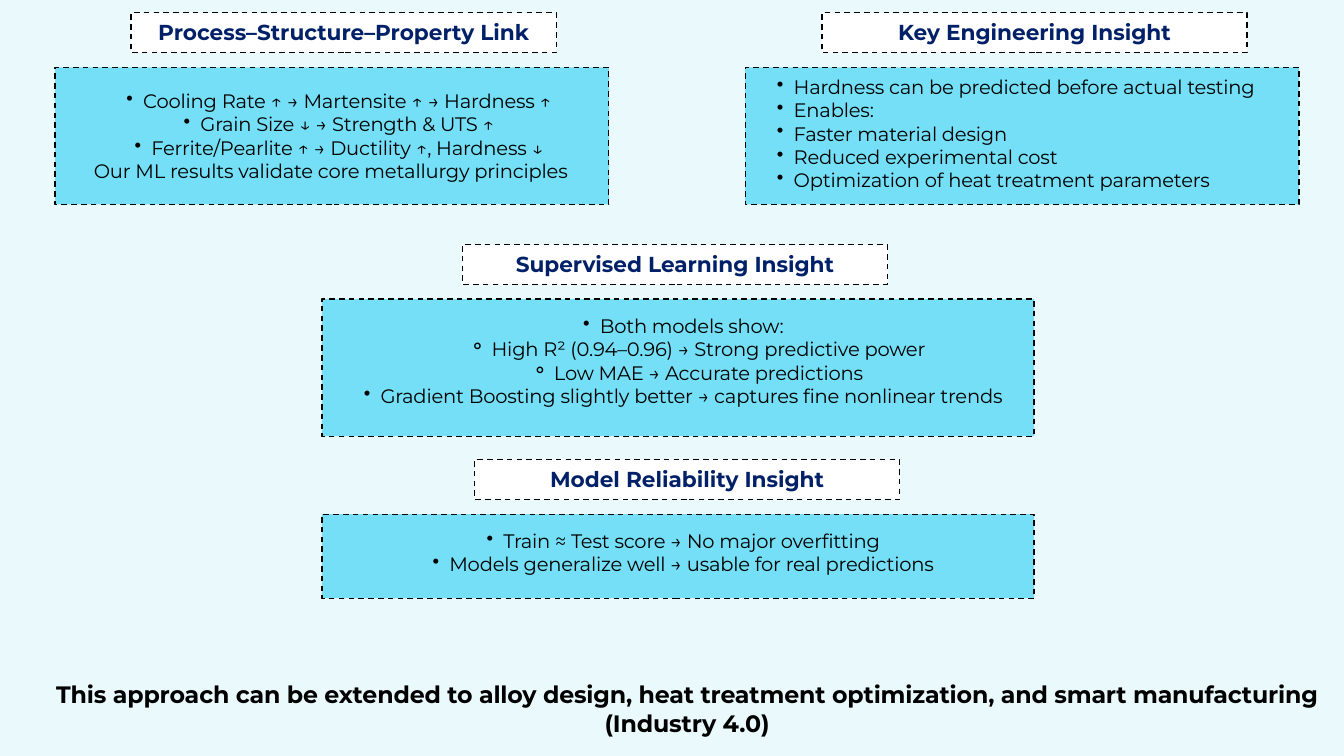
from lxml.etree import SubElement
from pptx import Presentation
from pptx.dml.color import RGBColor
from pptx.enum.dml import MSO_LINE
from pptx.enum.shapes import MSO_SHAPE
from pptx.enum.text import PP_ALIGN
from pptx.oxml.ns import qn
from pptx.util import Inches, Pt

CELL = 0.25
COLUMNS, ROWS = 80, 45
FONT = "Montserrat"
BACKGROUND, WHITE, BLUE, NAVY, BLACK = "EAF9FB", "FFFFFF", "74DFF6", "002068", "000000"
HEADING_WIDTH, HEADING_HEIGHT = 25.32, 2.36
PANEL_DROP = 3.25
LINE_ROWS = 1.375
BULLETS = {1: ("•", 0.49, -0.25), 2: ("⚬", 0.99, -0.33)}

SECTIONS = [
    {
        "heading": "Process–Structure–Property Link",
        "heading_at": (7.8, 0.76),
        "panel": (3.28, 32.96, 8.16),
        "inset": (0.84, 1.28, 31.16),
        "align": PP_ALIGN.CENTER,
        "lines": [
            (1, "Cooling Rate ↑ → Martensite ↑ → Hardness ↑"),
            (1, "Grain Size ↓ → Strength & UTS ↑"),
            (1, "Ferrite/Pearlite ↑ → Ductility ↑, Hardness ↓"),
            (0, "Our ML results validate core metallurgy principles"),
        ],
    },
    {
        "heading": "Key Engineering Insight",
        "heading_at": (48.92, 0.76),
        "panel": (44.36, 32.96, 8.16),
        "inset": (0.92, 0.44, 31.16),
        "align": PP_ALIGN.JUSTIFY,
        "lines": [
            (1, "Hardness can be predicted before actual testing"),
            (1, "Enables:"),
            (1, "Faster material design"),
            (1, "Reduced experimental cost"),
            (1, "Optimization of heat treatment parameters"),
        ],
    },
    {
        "heading": "Supervised Learning Insight",
        "heading_at": (27.52, 14.56),
        "panel": (19.16, 42.4, 8.16),
        "inset": (0.48, 0.88, 41.12),
        "align": PP_ALIGN.CENTER,
        "lines": [
            (1, "Both models show:"),
            (2, "High R² (0.94–0.96) → Strong predictive power"),
            (2, "Low MAE → Accurate predictions"),
            (1, "Gradient Boosting slightly better → captures fine nonlinear trends"),
        ],
    },
    {
        "heading": "Model Reliability Insight",
        "heading_at": (28.24, 27.36),
        "panel": (19.16, 42.4, 5),
        "inset": (0.48, 0.88, 41.12),
        "align": PP_ALIGN.CENTER,
        "lines": [
            (1, "Train ≈ Test score → No major overfitting"),
            (1, "Models generalize well → usable for real predictions"),
        ],
    },
]


def color(value):
    """Turn a hex string into a colour."""
    return RGBColor.from_string(value)


def place(box):
    """Convert a box in grid columns and rows to lengths."""
    return [Inches(length * CELL) for length in box]


def add_frame(slide, box, fill):
    """Draw a filled rectangle with a dashed outline."""
    shape = slide.shapes.add_shape(MSO_SHAPE.RECTANGLE, *place(box))
    shape.shadow.inherit = False
    shape.fill.solid()
    shape.fill.fore_color.rgb = color(fill)
    shape.line.color.rgb = color(BLACK)
    shape.line.width = Pt(1.5)
    shape.line.dash_style = MSO_LINE.DASH


def add_bullet(paragraph, level):
    """Give a paragraph the bullet and indent of its level."""
    character, margin, indent = BULLETS[level]
    paragraph.level = level
    properties = paragraph._p.get_or_add_pPr()
    properties.set("marL", str(Inches(margin)))
    properties.set("indent", str(Inches(indent)))
    SubElement(properties, qn("a:buChar")).set("char", character)


def add_text(slide, box, lines, size, leading, align=PP_ALIGN.CENTER,
             ink=BLACK, bold=False, spacing=0):
    """Write lines of (level, text) in a text box without margins."""
    frame = slide.shapes.add_textbox(*place(box)).text_frame
    frame.word_wrap = True
    frame.margin_left = frame.margin_right = frame.margin_top = frame.margin_bottom = 0
    frame.text = "\n".join(text for _, text in lines)
    for paragraph, (level, _) in zip(frame.paragraphs, lines):
        if level:
            add_bullet(paragraph, level)
        paragraph.alignment = align
        paragraph.line_spacing = Pt(leading)
        for run in paragraph.runs:
            run.font.name = FONT
            run.font.size = Pt(size)
            run.font.bold = bold
            run.font.color.rgb = color(ink)
            if spacing:
                run._r.get_or_add_rPr().set("spc", str(spacing))


def add_heading(slide, left, top, text):
    """Draw a white heading frame with its centred title."""
    add_frame(slide, (left, top, HEADING_WIDTH, HEADING_HEIGHT), WHITE)
    box = (left + 0.68, top + 0.4, HEADING_WIDTH - 1.36, HEADING_HEIGHT - 0.8)
    add_text(slide, box, [(0, text)], 23.2, 27.2, ink=NAVY, bold=True)


def add_section(slide, section):
    """Draw a heading and the panel of findings below it."""
    heading_left, heading_top = section["heading_at"]
    add_heading(slide, heading_left, heading_top, section["heading"])
    left, width, height = section["panel"]
    top = heading_top + PANEL_DROP
    add_frame(slide, (left, top, width, height), BLUE)
    inset_left, inset_top, text_width = section["inset"]
    lines = section["lines"]
    box = (left + inset_left, top + inset_top, text_width, LINE_ROWS * len(lines))
    add_text(slide, box, lines, 20.9, 25.1, align=section["align"], spacing=-20)


def add_conclusion(slide, box):
    """Write the closing statement at the foot of the slide."""
    text = ("This approach can be extended to alloy design, heat treatment optimization, "
            "and smart manufacturing (Industry 4.0)")
    add_text(slide, box, [(0, text)], 25.4, 30.5, bold=True, spacing=-20)


def main():
    """Build the insights slide and save it."""
    presentation = Presentation()
    presentation.slide_width = Inches(COLUMNS * CELL)
    presentation.slide_height = Inches(ROWS * CELL)
    slide = presentation.slides.add_slide(presentation.slide_layouts[6])
    slide.background.fill.solid()
    slide.background.fill.fore_color.rgb = color(BACKGROUND)
    add_conclusion(slide, (1.8, 40.48, 78.2, 3.32))
    for section in SECTIONS:
        add_section(slide, section)
    presentation.save("out.pptx")


if __name__ == "__main__":
    main()
